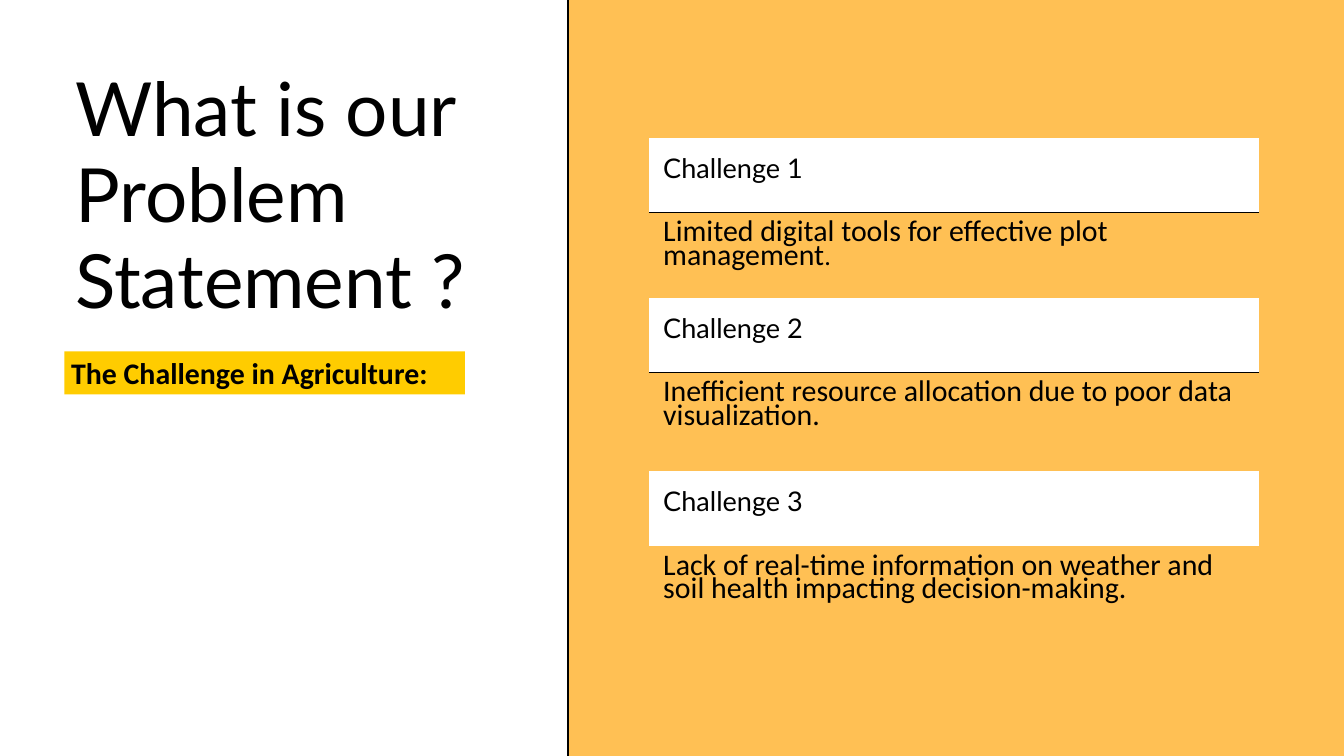
from lxml import etree
from pptx import Presentation
from pptx.dml.color import RGBColor
from pptx.enum.shapes import MSO_CONNECTOR, MSO_SHAPE
from pptx.enum.text import MSO_ANCHOR, MSO_AUTO_SIZE, PP_ALIGN
from pptx.oxml import parse_xml
from pptx.oxml.ns import nsdecls, qn
from pptx.util import Inches, Pt

RECTANGLE = MSO_SHAPE.RECTANGLE
STRAIGHT = MSO_CONNECTOR.STRAIGHT
TOP, MIDDLE = MSO_ANCHOR.TOP, MSO_ANCHOR.MIDDLE
LEFT = PP_ALIGN.LEFT
FIT_SHAPE = MSO_AUTO_SIZE.SHAPE_TO_FIT_TEXT
NO_GRID_STYLE = "{2D5ABB26-0587-4C30-8999-92F81FD0307C}"


def color(value):
    return RGBColor.from_string(value)


def style_text(frame, size, font, spacing=None, bold=False):
    para = frame.paragraphs[0]
    para.alignment = LEFT
    if spacing:
        para.line_spacing = Pt(spacing)
    for span in para.runs:
        span.font.size = Pt(size)
        span.font.name = font
        span.font.bold = bold
        span.font.color.rgb = color("000000")


deck = Presentation()
deck.slide_width, deck.slide_height = Inches(20), Inches(11.25)
page = deck.slides.add_slide(deck.slide_layouts[5])
page.background.fill.solid()
page.background.fill.fore_color.rgb = color("FFC054")

# White left panel, placed behind the title
panel = page.shapes.add_shape(RECTANGLE, 0, 0, Inches(8.46), Inches(11.25))
panel.shadow.inherit = False
panel.fill.solid()
panel.fill.fore_color.rgb = color("FFFFFF")
panel.line.fill.background()
page.shapes._spTree.insert(2, panel._element)

# Title
title = page.shapes.title
title.left, title.top = Inches(1.12), Inches(0.98)
title.width, title.height = Inches(6.12), Inches(3.87)
frame = title.text_frame
frame.text = "What is our Problem Statement ?"
frame.margin_left = frame.margin_top = frame.margin_right = frame.margin_bottom = 0
frame.word_wrap = True
frame.auto_size = FIT_SHAPE
frame.vertical_anchor = TOP
style_text(frame, 80, "Lato", 92)

# Divider along the panel edge
divider = page.shapes.add_connector(STRAIGHT, Inches(8.45), Inches(11.25), Inches(8.45), 0)
divider.line.color.rgb = color("000000")
divider.line.width = Pt(1.5)
etree.SubElement(divider._element.spPr, qn("a:effectLst"))

# Challenge table: a white heading row above each statement row
challenges = [
    ("Challenge 1", "Limited digital tools for effective plot management", 1.27),
    ("Challenge 2", "Inefficient resource allocation due to poor data visualization.", 1.47),
    ("Challenge 3", "Lack of real-time information on weather and soil health "
                    "impacting decision-making.", 1.27),
]
table = page.shapes.add_table(
    2 * len(challenges), 1, Inches(9.66), Inches(2.05), Inches(9.08), Inches(7.34)
).table
table.first_row = table.horz_banding = False
table._tbl.tblPr.find(qn("a:tableStyleId")).text = NO_GRID_STYLE

for number, (heading, statement, height) in enumerate(challenges):
    heading_row, statement_row = 2 * number, 2 * number + 1
    table.rows[heading_row].height = Inches(1.11)
    table.rows[statement_row].height = Inches(height)
    heading_cell = table.cell(heading_row, 0)
    statement_cell = table.cell(statement_row, 0)
    for cell, text in ((heading_cell, heading), (statement_cell, statement)):
        cell.text_frame.text = text
        cell.margin_left = cell.margin_right = Inches(0.21)
        cell.margin_top = cell.margin_bottom = Inches(0.21)
        cell.vertical_anchor = TOP
    style_text(heading_cell.text_frame, 29, "Lato", 34.8)
    style_text(statement_cell.text_frame, 32, "Calibri", 25.2)
    heading_cell.fill.solid()
    heading_cell.fill.fore_color.rgb = color("FFFFFF")
    statement_cell.fill.background()
    # Rule under every heading but the last
    if number < len(challenges) - 1:
        rule = parse_xml(
            f'<a:lnB {nsdecls("a")} w="{Pt(1.5)}"><a:solidFill>'
            '<a:srgbClr val="000000"/></a:solidFill></a:lnB>'
        )
        heading_cell._tc.get_or_add_tcPr().insert(0, rule)

# Smaller full stop after the first statement
full_stop = table.cell(1, 0).text_frame.paragraphs[0].add_run()
full_stop.text = "."
full_stop.font.size = Pt(28)
full_stop.font.name = "Calibri"
full_stop.font.color.rgb = color("000000")

# Highlighted subtitle
label = page.shapes.add_shape(RECTANGLE, Inches(0.96), Inches(5.23), Inches(5.96), Inches(0.64))
label.shadow.inherit = False
label.fill.solid()
label.fill.fore_color.rgb = color("FFCC00")
label.line.fill.background()
label.text_frame.text = "The Challenge in Agriculture:"
label.text_frame.word_wrap = True
label.text_frame.auto_size = FIT_SHAPE
label.text_frame.vertical_anchor = MIDDLE
style_text(label.text_frame, 32, "Calibri", bold=True)

deck.save("out.pptx")
